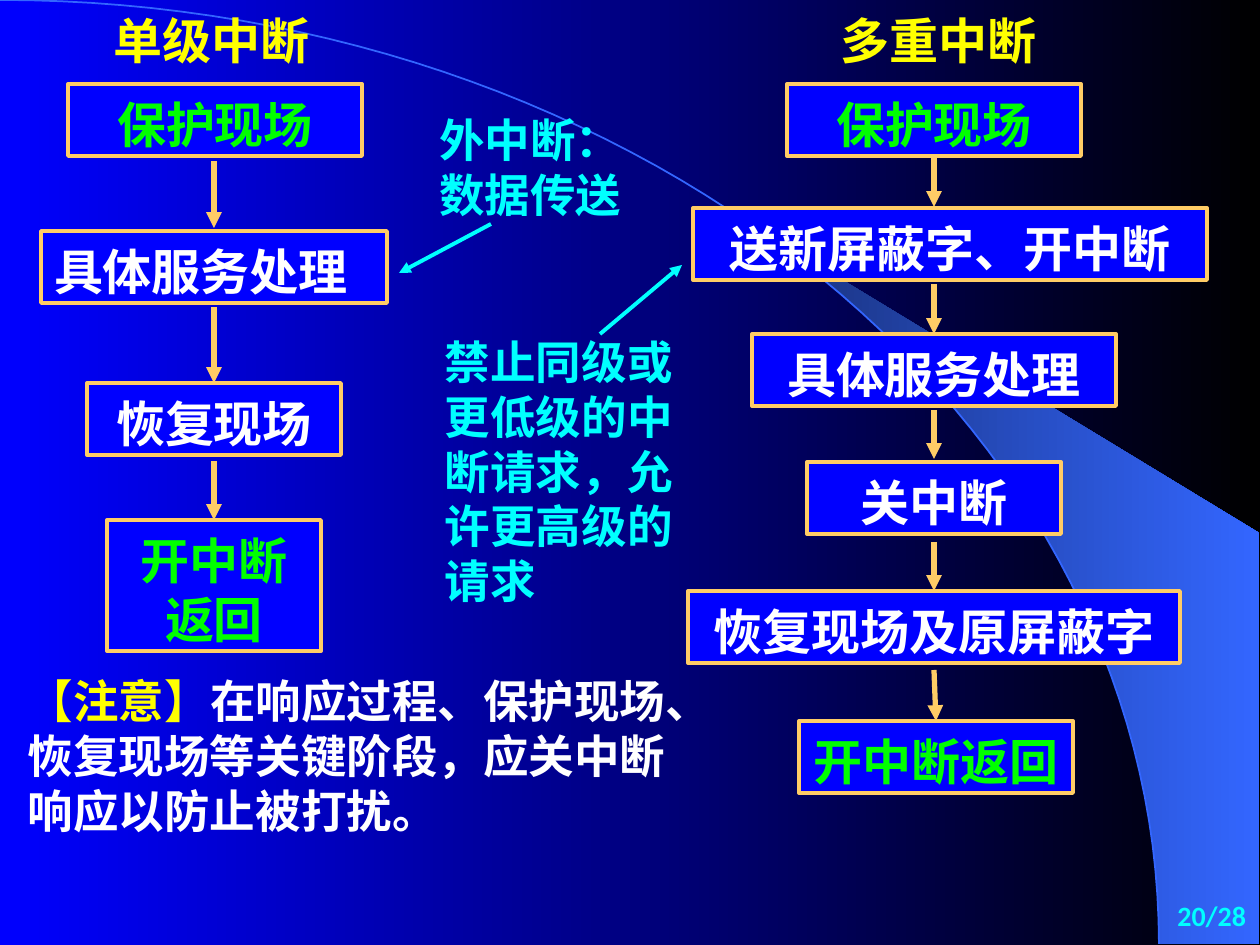
from dataclasses import dataclass
from math import asin, cos, pi, sin

from lxml.etree import SubElement
from pptx import Presentation
from pptx.dml.color import RGBColor
from pptx.enum.shapes import MSO_CONNECTOR as CONN, MSO_SHAPE as SHAPE
from pptx.enum.text import MSO_ANCHOR as ANCHOR, PP_ALIGN as ALIGN
from pptx.oxml.ns import qn
from pptx.util import Emu, Pt

SCALE = 914400 / 126
TOP, BOTTOM = 0, 2


@dataclass(frozen=True)
class Theme:
    blue: str = "0000FF"
    black: str = "000000"
    navy: str = "182F76"
    arc: str = "3366FF"
    gold: str = "FFCC66"
    yellow: str = "FFFF00"
    green: str = "00FF00"
    cyan: str = "00FFFF"
    white: str = "FFFFFF"
    cjk: str = "Noto Sans CJK SC"
    serif: str = "Times New Roman"
    sans: str = "Calibri"
    step: int = 28
    body: int = 26
    page: int = 16
    leading: float = 1.205


T = Theme()


def px(n):
    return Emu(round(n * SCALE))


def rgb(value):
    return RGBColor.from_string(value)


def gradient(fill, start, end):
    fill.gradient()
    fill.gradient_angle = 0
    for stop, color in zip(fill.gradient_stops, (start, end)):
        stop.color.rgb = rgb(color)


def write(sp, paragraphs, size=T.step, font=T.cjk, align=ALIGN.LEFT, fixed=True):
    tf = sp.text_frame
    tf.word_wrap = True
    tf.vertical_anchor = ANCHOR.TOP
    tf.margin_left = tf.margin_right = px(13)
    tf.margin_top, tf.margin_bottom = (px(10), px(2)) if fixed else (px(6), px(6))
    for i, runs in enumerate(paragraphs):
        p = tf.add_paragraph() if i else tf.paragraphs[0]
        p.alignment = align
        if fixed:
            p.line_spacing = Pt(round(size * T.leading, 1))
        for text, color in runs:
            r = p.add_run()
            r.text = text
            r.font.size = Pt(size)
            r.font.bold = True
            r.font.name = font
            r.font.color.rgb = rgb(color)
            SubElement(r.font._element, qn("a:ea"), typeface=T.cjk)


class Deck:
    def __init__(self, theme):
        self.theme = theme
        self.prs = Presentation()
        self.prs.slide_width, self.prs.slide_height = px(1260), px(945)
        self.s = None

    def add_slide(self):
        self.s = self.prs.slides.add_slide(self.prs.slide_layouts[6])
        gradient(self.s.background.fill, self.theme.blue, self.theme.black)

    def outline(self, points, closed):
        first, *rest = [(px(x), px(y)) for x, y in points]
        builder = self.s.shapes.build_freeform(*first, scale=1.0)
        builder.add_line_segments(rest, close=closed)
        sp = builder.convert_to_shape()
        sp.shadow.inherit = False
        return sp

    def backdrop(self):
        def arc(start, steps):
            angles = [start + (pi / 2 - start) * i / steps for i in range(steps + 1)]
            return [(1159 * sin(a), 944 * (1 - cos(a))) for a in angles]

        wedge = self.outline(arc(asin(0.64), 30) + [(1259, 944), (1259, 533)], True)
        gradient(wedge.fill, self.theme.navy, self.theme.arc)
        wedge.line.fill.background()
        curve = self.outline(arc(0, 60), False)
        curve.fill.background()
        curve.line.color.rgb = rgb(self.theme.arc)
        curve.line.width = Pt(1)

    def text(self, x, y, w, h, paragraphs, **fmt):
        sp = self.s.shapes.add_textbox(px(x), px(y), px(w), px(h))
        write(sp, paragraphs, **fmt)

    def box(self, center, y, w, text, color, h=72, align=ALIGN.CENTER):
        sp = self.s.shapes.add_shape(SHAPE.RECTANGLE, px(center - w // 2), px(y), px(w), px(h))
        sp.shadow.inherit = False
        sp.fill.solid()
        sp.fill.fore_color.rgb = rgb(self.theme.blue)
        sp.line.color.rgb = rgb(self.theme.gold)
        sp.line.width = Pt(2.25)
        write(sp, [[(text, color)]], align=align)
        return sp

    def arrow(self, x1, y1, x2, y2, color, width, begin=None, end=None):
        line = self.s.shapes.add_connector(CONN.STRAIGHT, px(x1), px(y1), px(x2), px(y2))
        if begin is not None:
            line.begin_connect(begin, BOTTOM)
        if end is not None:
            line.end_connect(end, TOP)
        line.line.color.rgb = rgb(color)
        line.line.width = Pt(width)
        SubElement(line.line._get_or_add_ln(), qn("a:tailEnd"), type="triangle")
        SubElement(line._element.spPr, qn("a:effectLst"))

    def flow(self, center, boxes, arrows):
        steps = [self.box(center + shift, *spec, **opts) for shift, spec, opts in boxes]
        for y1, y2, begin, end in arrows:
            self.arrow(center, y1, center, y2, self.theme.gold, 3,
                       None if begin is None else steps[begin],
                       None if end is None else steps[end])


def main():
    deck = Deck(T)
    deck.add_slide()
    deck.backdrop()
    deck.text(1126, 893, 133, 49, [[("20/28", T.cyan)]], size=T.page,
              font=T.sans, align=ALIGN.RIGHT, fixed=False)

    for x, w, heading in ((71, 281, "单级中断"), (810, 257, "多重中断")):
        deck.text(x, 0, w, 72, [[(heading, T.yellow)]], align=ALIGN.CENTER)

    deck.flow(214, [
        (1, (84, 294, "保护现场", T.green), {}),
        (0, (231, 346, "具体服务处理", T.white), {"align": ALIGN.LEFT}),
        (0, (383, 254, "恢复现场", T.white), {}),
        (0, (520, 214, "开中断返回", T.green), {"h": 131}),
    ], [(161, 228, None, None), (307, 383, None, 2), (461, 520, None, 3)])

    deck.flow(934, [
        (0, (84, 294, "保护现场", T.green), {}),
        (16, (208, 514, "送新屏蔽字、开中断", T.white), {}),
        (0, (334, 364, "具体服务处理", T.white), {}),
        (0, (462, 254, "关中断", T.white), {}),
        (0, (591, 492, "恢复现场及原屏蔽字", T.white), {}),
        (2, (721, 274, "开中断返回", T.green), {}),
    ], [
        (156, 207, 0, None), (284, 334, None, 2), (410, 459, None, None),
        (542, 591, None, 4), (670, 721, None, 5),
    ])

    deck.text(426, 102, 284, 122, [[("外中断：", T.cyan)], [("数据传送", T.cyan)]], size=T.body)
    deck.text(432, 324, 290, 286, [[("禁止同级或更低级的中断请求，允许更高级的请求", T.cyan)]],
              size=T.body)
    deck.arrow(491, 224, 399, 273, T.cyan, 2.25)
    deck.arrow(600, 334, 682, 265, T.cyan, 2.25)
    note = "在响应过程、保护现场、恢复现场等关键阶段，应关中断响应以防止被打扰。"
    deck.text(15, 663, 669, 176, [[("【注意】", T.yellow), (note, T.white)]],
              size=T.body, font=T.serif)
    deck.prs.save("out.pptx")


if __name__ == "__main__":
    main()
